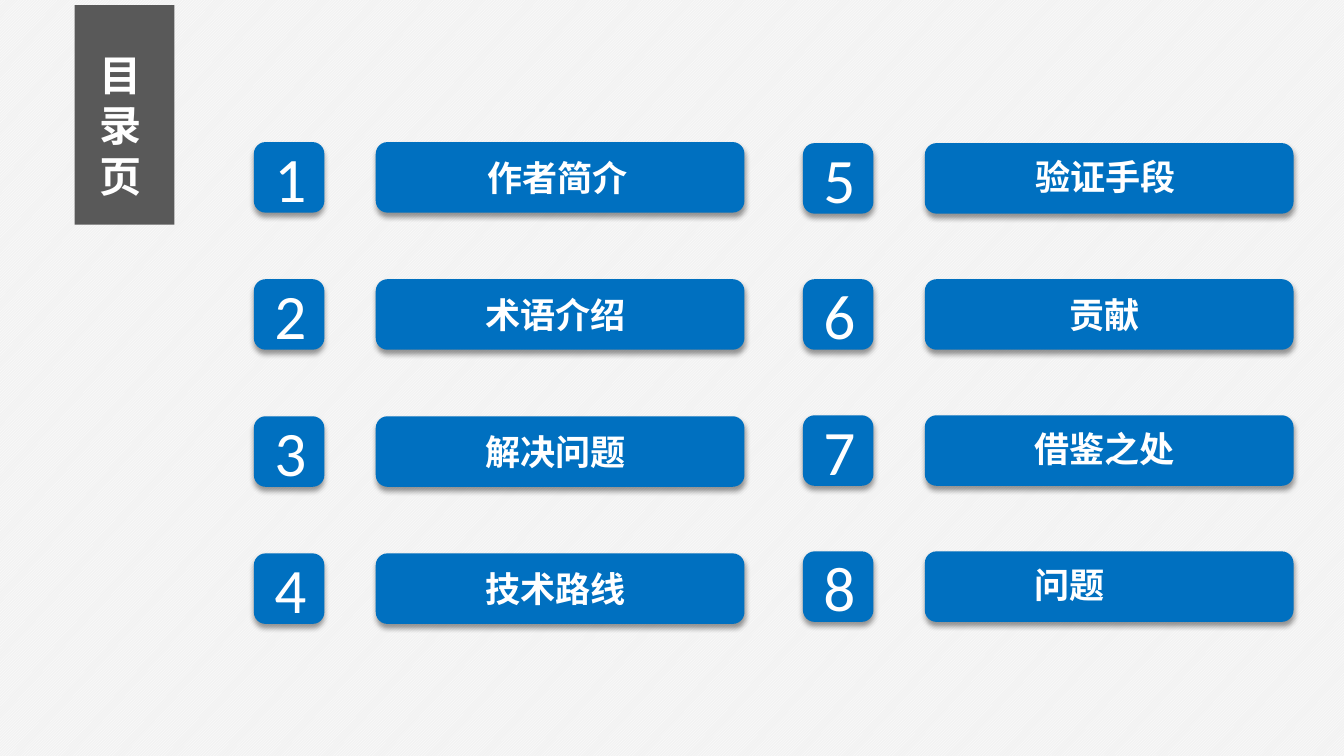
import pptx
import pptx.util
import pptx.dml.color
import pptx.enum.dml
import pptx.enum.shapes
import pptx.enum.text
import pptx.oxml
import pptx.oxml.ns

Inches = pptx.util.Inches
Pt = pptx.util.Pt
RGBColor = pptx.dml.color.RGBColor
Shape = pptx.enum.shapes.MSO_SHAPE
Align = pptx.enum.text.PP_ALIGN
Anchor = pptx.enum.text.MSO_ANCHOR

WHITE = RGBColor(0xFF, 0xFF, 0xFF)
PALE = RGBColor(0xF2, 0xF2, 0xF2)
GRAY = RGBColor(0x59, 0x59, 0x59)
BLUE = RGBColor(0x00, 0x70, 0xC0)
HAN = "Noto Sans CJK SC"

SHADOW = (
    '<a:outerShdw %s blurRad="50800" dist="38100" dir="5400000" algn="t" rotWithShape="0">'
    '<a:srgbClr val="000000"><a:alpha val="40000"/></a:srgbClr></a:outerShdw>'
) % pptx.oxml.ns.nsdecls("a")

deck = pptx.Presentation()
deck.slide_width = Inches(13.34)
deck.slide_height = Inches(7.5)
slide = deck.slides.add_slide(deck.slide_layouts[6])

back = slide.background.fill
back.patterned()
back.pattern = pptx.enum.dml.MSO_PATTERN.LIGHT_UPWARD_DIAGONAL
back.fore_color.rgb = WHITE
back.back_color.rgb = PALE


def add_block(kind, left, top, width, height, color):
    block = slide.shapes.add_shape(
        kind, Inches(left), Inches(top), Inches(width), Inches(height))
    block.fill.solid()
    block.fill.fore_color.rgb = color
    block.line.fill.background()
    block.shadow.inherit = False
    if kind == Shape.ROUNDED_RECTANGLE:
        effects = block._element.spPr.find(pptx.oxml.ns.qn("a:effectLst"))
        effects.append(pptx.oxml.parse_xml(SHADOW))
    return block


def set_text(shape, text, size, face, bold, side, edge):
    frame = shape.text_frame
    frame.word_wrap = True
    frame.margin_left = frame.margin_right = Inches(side)
    frame.margin_top = frame.margin_bottom = Inches(edge)
    line = frame.paragraphs[0]
    line.text = text
    line.font.size = Pt(size)
    line.font.name = face
    line.font.bold = bold
    line.font.color.rgb = WHITE
    for run in line.runs:
        east = pptx.oxml.parse_xml(
            '<a:ea %s typeface="%s"/>' % (pptx.oxml.ns.nsdecls("a"), face))
        run.font._element.append(east)
    return line


add_block(Shape.RECTANGLE, 0.74, 0.05, 0.99, 2.18, GRAY)
title = slide.shapes.add_textbox(Inches(0.89), Inches(0.39), Inches(0.65), Inches(1.7))
heading = set_text(title, "目录页", 30.1, HAN, True, 0.1, 0.1)
heading.line_spacing = Pt(36)

columns = [
    (2.52, 1.41, 1.36, [
        ("作者简介", 0.94, 0.06),
        ("术语介绍", 0.92, 0.06),
        ("解决问题", 0.92, 0.06),
        ("技术路线", 0.92, 0.06),
    ]),
    (7.97, 1.42, 1.35, [
        ("验证手段", 0.93, 0.04),
        ("贡献", 1.27, 0.06),
        ("借鉴之处", 0.92, 0.04),
        ("问题", 0.92, 0.04),
    ]),
]

number = 0
for left, start, step, topics in columns:
    for row, (topic, right, down) in enumerate(topics):
        number += 1
        top = start + row * step
        badge = add_block(Shape.ROUNDED_RECTANGLE, left, top, 0.7, 0.7, BLUE)
        digit = set_text(badge, str(number), 45.2, "Calibri", False, 0.17, 0.08)
        digit.alignment = Align.CENTER
        badge.text_frame.vertical_anchor = Anchor.MIDDLE

        bar = left + 1.21
        add_block(Shape.ROUNDED_RECTANGLE, bar, top, 3.66, 0.7, BLUE)
        label = slide.shapes.add_textbox(
            Inches(bar + right), Inches(top + down), Inches(1.85), Inches(0.59))
        set_text(label, topic, 25.1, HAN, True, 0.17, 0.08)

deck.save("out.pptx")
